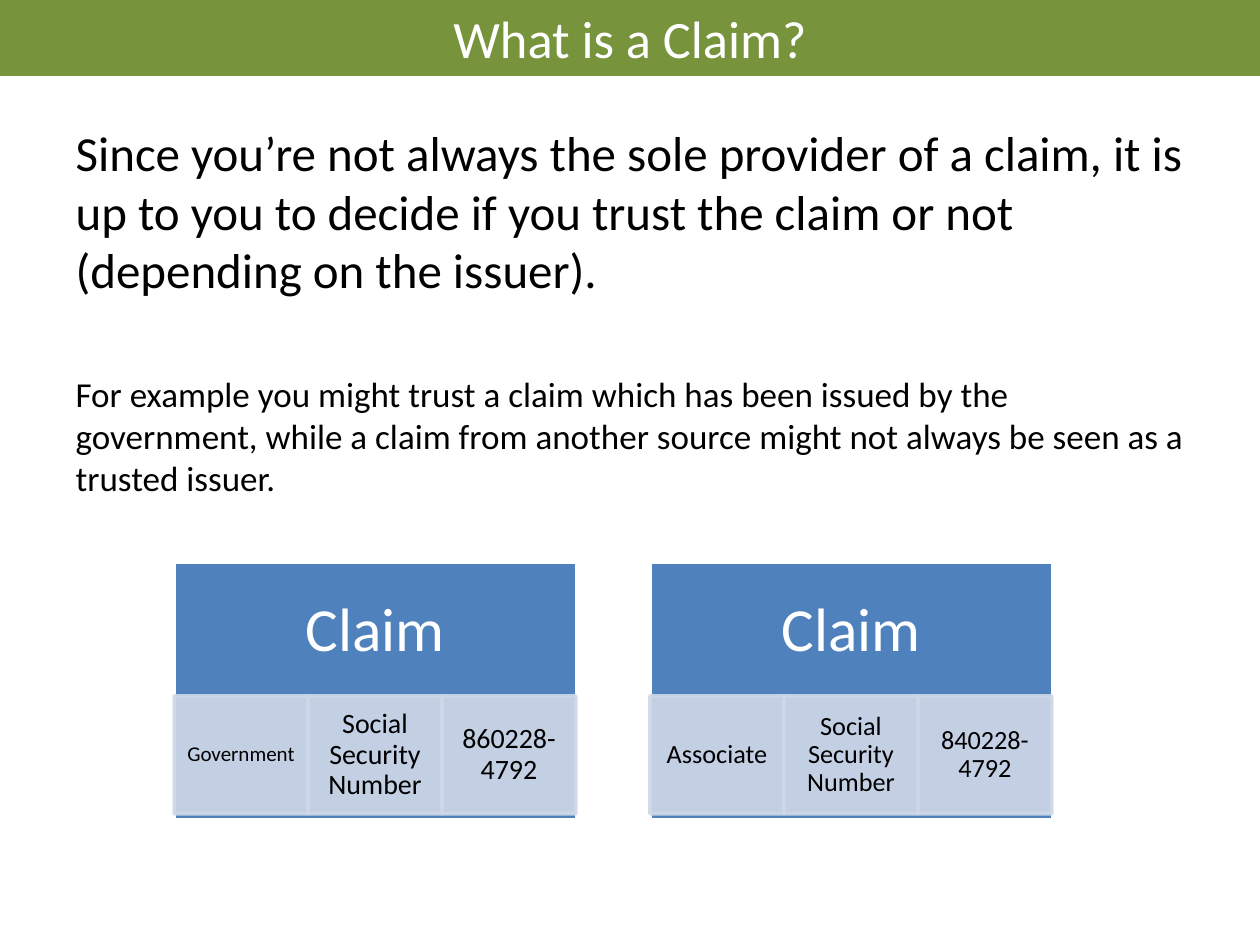
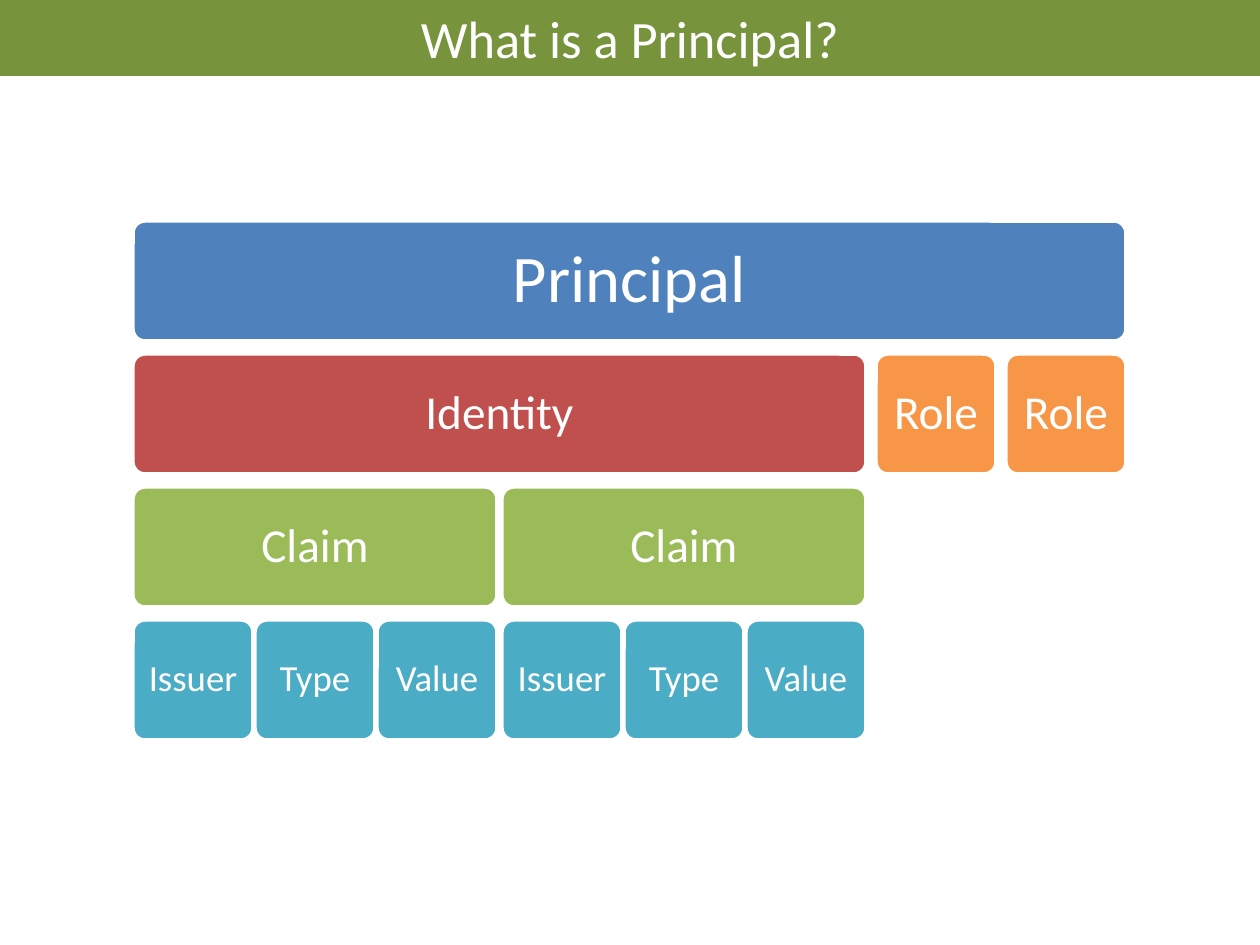
from dataclasses import dataclass

from lxml.etree import SubElement
from pptx import Presentation
from pptx.dml.color import RGBColor
from pptx.enum.shapes import MSO_SHAPE as Preset
from pptx.enum.text import MSO_ANCHOR as Anchor, MSO_AUTO_SIZE as AutoSize, PP_ALIGN as Align
from pptx.oxml.ns import qn
from pptx.util import Emu, Pt

SCALE = 914400 // 126


@dataclass(frozen=True)
class Theme:
    """Colours, font and type sizes of the deck."""
    font: str = "Calibri"
    band: str = "77933C"
    white: str = "FFFFFF"
    black: str = "000000"
    blue: str = "4F81BD"
    red: str = "C0504D"
    green: str = "9BBB59"
    teal: str = "4BACC6"
    orange: str = "F79646"
    pale: str = "D0D8E8"
    pale_opacity: int = 90
    line: int = 2
    title: int = 30
    lead: int = 28
    example: int = 20
    claim: int = 35


THEME = Theme()

TIER_STYLES = {
    "Principal": (THEME.blue, 38),
    "Identity": (THEME.red, 27),
    "Claim": (THEME.green, 27),
    "Role": (THEME.orange, 27),
}
LEAF_STYLE = (THEME.teal, 21)
LEAF_SIZE, TIER_PITCH = 120, 133
CHILD_GAPS = (10, 5, 2)

CLAIM = ("Claim", [("Issuer", []), ("Type", []), ("Value", [])])
PRINCIPAL = ("Principal", [("Identity", [CLAIM, CLAIM]), ("Role", []), ("Role", [])])

LEAD = ("Since you’re not always the sole provider of a claim, it is up to you "
        "to decide if you trust the claim or not (depending on the issuer).")
EXAMPLE = ("For example you might trust a claim which has been issued by the government, "
           "while a claim from another source might not always be seen as a trusted issuer.")


def px(length):
    """Turn pixels into EMU."""
    return Emu(round(length * SCALE))


def place(shape, left, top, width, height):
    """Move and size a shape in pixels."""
    shape.left, shape.top = px(left), px(top)
    shape.width, shape.height = px(width), px(height)


def paint(shape, color):
    """Give a shape a solid fill."""
    shape.fill.solid()
    shape.fill.fore_color.rgb = RGBColor.from_string(color)


def add_span(para, text, size, color):
    """Add one formatted run."""
    span = para.add_run()
    span.text = text
    span.font.name = THEME.font
    span.font.size = Pt(size)
    span.font.color.rgb = RGBColor.from_string(color)


def set_opacity(shape, percent):
    """Make fill and line partly transparent."""
    for color in shape._element.spPr.iter(qn("a:srgbClr")):
        SubElement(color, qn("a:alpha")).set("val", str(percent * 1000))


def add_box(page, preset, bounds, fill, line, label=None, insets=(10, 10, 10, 10)):
    """Draw a filled box with an optional centred (text, size, colour) label."""
    box = page.shapes.add_shape(preset, *map(px, bounds))
    box.shadow.inherit = False
    paint(box, fill)
    box.line.color.rgb = RGBColor.from_string(line)
    box.line.width = Pt(THEME.line)
    if label:
        frame = box.text_frame
        frame.word_wrap = True
        frame.vertical_anchor = Anchor.MIDDLE
        (frame.margin_left, frame.margin_top,
         frame.margin_right, frame.margin_bottom) = map(px, insets)
        para = frame.paragraphs[0]
        para.alignment = Align.CENTER
        para.line_spacing = 0.9
        add_span(para, *label)
    return box


def add_page(deck, layout, title):
    """Add a page with the title band."""
    page = deck.slides.add_slide(deck.slide_layouts.get_by_name(layout))
    band = page.shapes.title
    place(band, 0, 0, 1260, 76)
    paint(band, THEME.band)
    frame = band.text_frame
    frame.auto_size = AutoSize.NONE
    frame.vertical_anchor = Anchor.MIDDLE
    para = frame.paragraphs[0]
    para.alignment = Align.CENTER
    add_span(para, title, THEME.title, THEME.white)
    return page


def add_plain_para(para, text, size):
    """Fill a body paragraph without bullet or indent."""
    properties = para._p.get_or_add_pPr()
    properties.set("marL", "0")
    properties.set("indent", "0")
    SubElement(properties, qn("a:buNone"))
    add_span(para, text, size, THEME.black)


def fill_body(page):
    """Write the lead and the example into the body placeholder."""
    body = page.placeholders[1]
    place(body, 63, 116, 1134, 728)
    frame = body.text_frame
    frame.auto_size = AutoSize.NONE
    add_plain_para(frame.paragraphs[0], LEAD, THEME.lead)
    example = frame.add_paragraph()
    add_plain_para(example, EXAMPLE, THEME.example)
    example.space_before = Pt(42)


def add_claim_card(page, left, parts):
    """Draw a claim header above its row of (text, size) parts."""
    top, width, height, cell_height = 562, 403, 258, 118
    add_box(page, Preset.RECTANGLE, (left, top, width, height), THEME.blue, THEME.white,
            ("Claim", THEME.claim, THEME.white), (34, 34, 34, 34 + cell_height))
    cell_width = width // len(parts)
    for index, (text, size) in enumerate(parts):
        bounds = (left + index * cell_width, top + 134, cell_width, cell_height)
        cell = add_box(page, Preset.RECTANGLE, bounds, THEME.pale, THEME.pale,
                       (text, size, THEME.black), (11, 2, 11, 2))
        set_opacity(cell, THEME.pale_opacity)


def tree_width(node, depth=0):
    """Measure a node from its children and their gaps."""
    children = node[1]
    if not children:
        return LEAF_SIZE
    gaps = CHILD_GAPS[depth] * (len(children) - 1)
    return gaps + sum(tree_width(child, depth + 1) for child in children)


def add_tree(page, node, left, top, depth=0):
    """Draw a node and, one tier lower, its children."""
    text, children = node
    fill, size = TIER_STYLES.get(text, LEAF_STYLE)
    bounds = (left, top, tree_width(node, depth), LEAF_SIZE)
    box = add_box(page, Preset.ROUNDED_RECTANGLE, bounds, fill, THEME.white,
                  (text, size, THEME.white))
    box.adjustments[0] = 0.1
    for child in children:
        add_tree(page, child, left, top + TIER_PITCH, depth + 1)
        left += tree_width(child, depth + 1) + CHILD_GAPS[depth]


def main():
    """Build and save the deck."""
    deck = Presentation()
    deck.slide_width, deck.slide_height = px(1260), px(945)

    page = add_page(deck, "Title and Content", "What is a Claim?")
    fill_body(page)
    number = "Social Security Number"
    add_claim_card(page, 174, [("Government", 12), (number, 16), ("860228-4792", 16)])
    add_claim_card(page, 650, [("Associate", 15), (number, 15), ("840228-4792", 15)])

    page = add_page(deck, "Title Only", "What is a Principal?")
    add_tree(page, PRINCIPAL, 133, 221)

    deck.save("out.pptx")


main()
